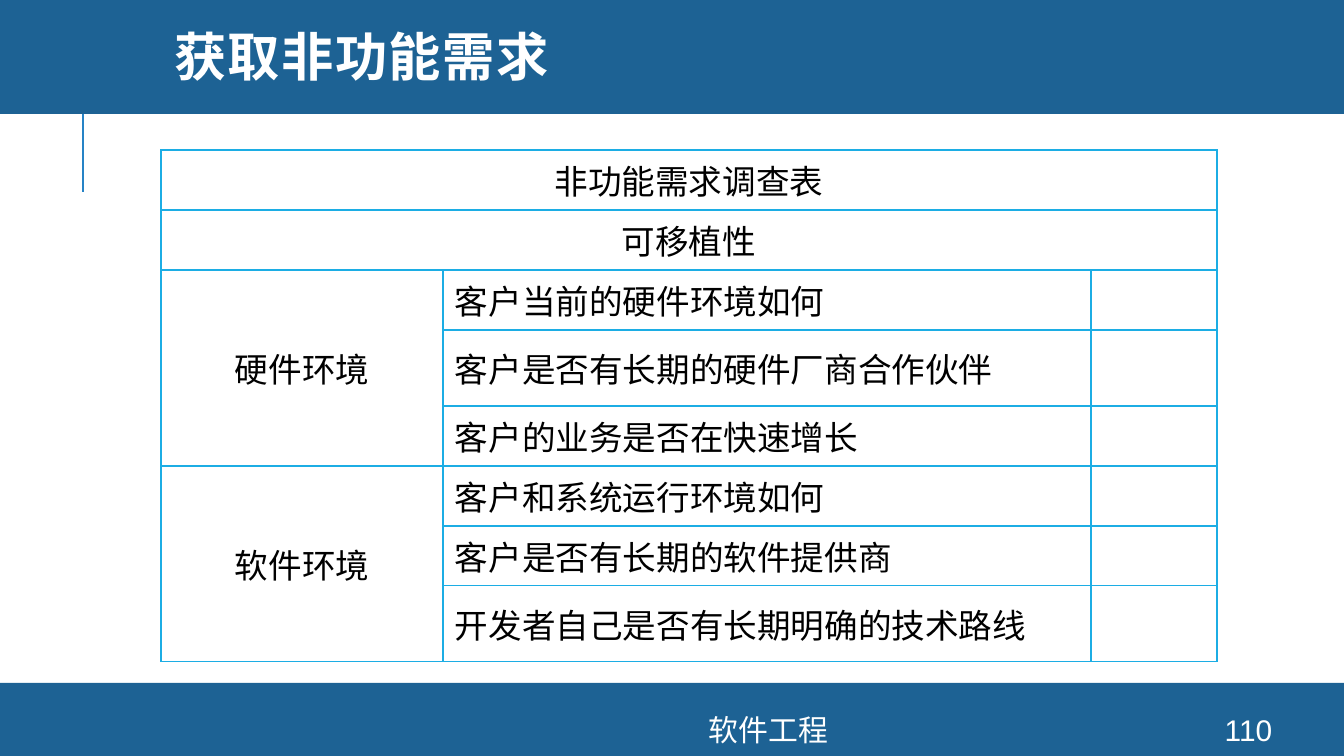
from lxml import etree
from pptx import Presentation
from pptx import util as u
from pptx.dml.color import RGBColor
from pptx.enum import shapes, text
from pptx.oxml.ns import qn

# Content
TITLE = "获取非功能需求"
FOOTER = "软件工程"
PAGE_NUMBER = "110"
TABLE_HEADINGS = ["非功能需求调查表", "可移植性"]
TABLE_GROUPS = [
    ("硬件环境", ["客户当前的硬件环境如何",
              "客户是否有长期的硬件厂商合作伙伴",
              "客户的业务是否在快速增长"]),
    ("软件环境", ["客户和系统运行环境如何",
              "客户是否有长期的软件提供商",
              "开发者自己是否有长期明确的技术路线"]),
]

# Layout in px
SLIDE = (1344, 756)
BANDS = [(0, 683, 1344, 73), (0, -4, 1344, 118)]
RULE = (83, 192, 83, 91)
TITLE_BOX = (161, 0, 1141, 122)
FOOTER_BOX = (351, 714, 835, 31)
PAGE_BOX = (1195, 714, 107, 31)
TABLE_ORIGIN = (161, 150)
COLUMNS = [282, 648, 126]
ROWS = [60, 60, 60, 76, 60, 60, 60, 76]
HANGING = 50
CELL_MARGINS = (12, 6)

COLORS = {"band": "1D6294", "rule": "2683C6", "border": "1CADE4",
          "white": "FFFFFF", "black": "000000"}


def px(value):
    return u.Emu(round(value * 914400 / 134.4))


def color(name):
    return RGBColor.from_string(COLORS[name])


def style(paragraph, font_name, size, color_name, align=None):
    paragraph.alignment = align
    font = paragraph.font
    font.name, font.size = font_name, u.Pt(size)
    font.color.rgb = color(color_name)


def add_text(slide, box, content, font_name, size, align=None):
    shape = slide.shapes.add_textbox(*map(px, box))
    frame = shape.text_frame
    frame.word_wrap = True
    frame.vertical_anchor = text.MSO_ANCHOR.MIDDLE
    paragraph = frame.paragraphs[0]
    paragraph.text = content
    style(paragraph, font_name, size, "white", align)
    return paragraph


def style_cell(cell):
    cell.margin_left = cell.margin_right = px(CELL_MARGINS[0])
    cell.margin_top = cell.margin_bottom = px(CELL_MARGINS[1])
    cell.vertical_anchor = text.MSO_ANCHOR.MIDDLE
    cell.fill.solid()
    cell.fill.fore_color.rgb = color("white")
    properties = cell._tc.get_or_add_tcPr()
    for index, side in enumerate(("lnL", "lnR", "lnT", "lnB")):
        line = etree.Element(qn(f"a:{side}"), w=str(u.Pt(1)))
        fill = etree.SubElement(line, qn("a:solidFill"))
        etree.SubElement(fill, qn("a:srgbClr"), val=COLORS["border"])
        properties.insert(index, line)


def write_cell(cell, content, align=None):
    paragraph = cell.text_frame.paragraphs[0]
    paragraph.text = content
    properties = paragraph._p.get_or_add_pPr()
    properties.set("marL", str(px(HANGING)))
    properties.set("indent", str(-px(HANGING)))
    style(paragraph, "Arial", 18, "black", align)


presentation = Presentation()
presentation.slide_width, presentation.slide_height = map(px, SLIDE)
slide = presentation.slides.add_slide(presentation.slide_layouts[6])
center = text.PP_ALIGN.CENTER

# Vertical rule and bands
rule = slide.shapes.add_connector(shapes.MSO_CONNECTOR.STRAIGHT, *map(px, RULE))
rule.line.color.rgb = color("rule")
rule.line.width = u.Pt(1.5)
etree.SubElement(rule._element.spPr, qn("a:effectLst"))
for box in BANDS:
    band = slide.shapes.add_shape(shapes.MSO_SHAPE.RECTANGLE, *map(px, box))
    band.shadow.inherit = False
    band.fill.solid()
    band.fill.fore_color.rgb = color("band")
    band.line.fill.background()

# Title, footer and page number
title = add_text(slide, TITLE_BOX, TITLE, "Montserrat", 28)
title.line_spacing = 0.8
title.font.bold = True
title._p.pPr.find(qn("a:defRPr")).set("spc", "80")
add_text(slide, FOOTER_BOX, FOOTER, "Arial", 16, center)
add_text(slide, PAGE_BOX, PAGE_NUMBER, "Arial", 16, center)

# Survey table
frame = slide.shapes.add_table(
    len(ROWS), len(COLUMNS), *map(px, TABLE_ORIGIN + (sum(COLUMNS), sum(ROWS))))
table = frame.table
table.first_row = table.horz_banding = False
for column, width in zip(table.columns, COLUMNS):
    column.width = px(width)
for row, height in zip(table.rows, ROWS):
    row.height = px(height)
for cell in table.iter_cells():
    style_cell(cell)

for index, heading in enumerate(TABLE_HEADINGS):
    table.cell(index, 0).merge(table.cell(index, len(COLUMNS) - 1))
    write_cell(table.cell(index, 0), heading, center)
top = len(TABLE_HEADINGS)
for group, questions in TABLE_GROUPS:
    table.cell(top, 0).merge(table.cell(top + len(questions) - 1, 0))
    write_cell(table.cell(top, 0), group, center)
    for index, question in enumerate(questions, top):
        write_cell(table.cell(index, 1), question)
    top += len(questions)

presentation.save("out.pptx")
